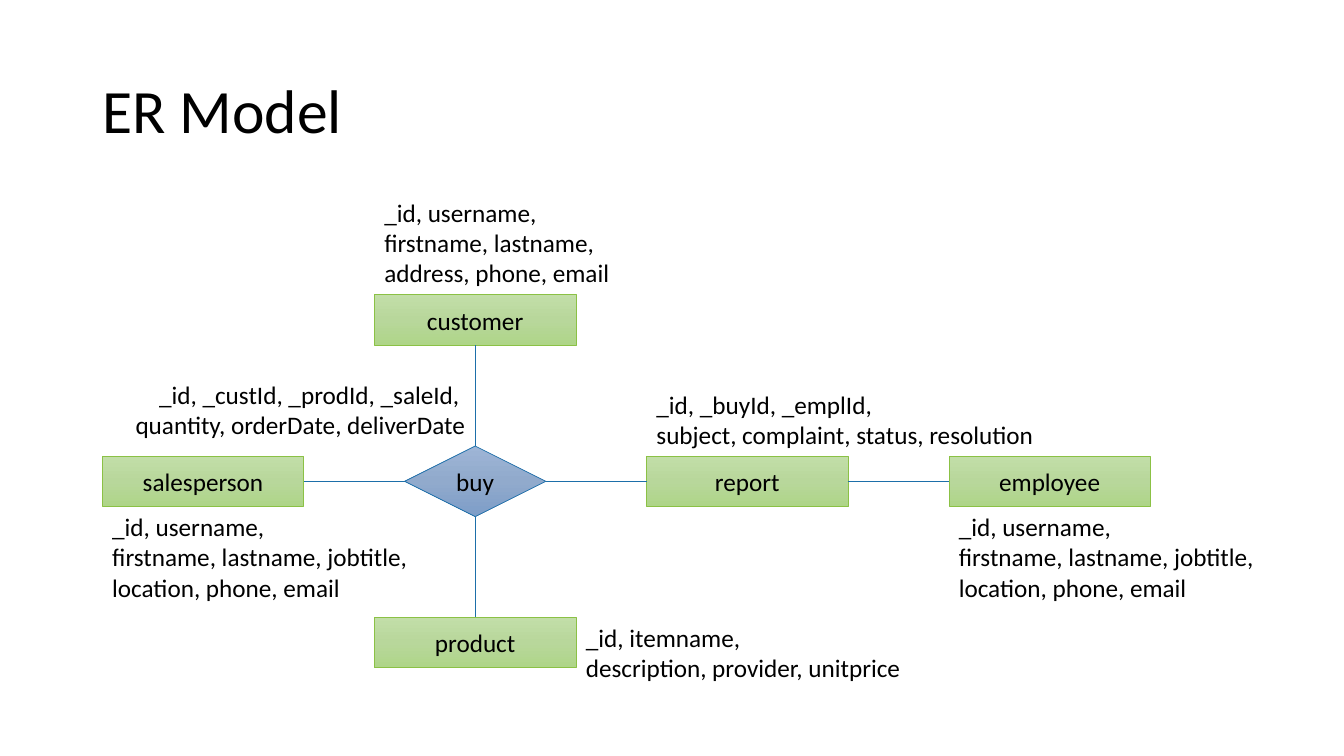
"""Build an entity-relationship slide for a sales database."""
import copy

import pptx
import pptx.dml.color
import pptx.enum.shapes
import pptx.enum.text
import pptx.oxml.ns
import pptx.util

PX = 4572
FONT = "Calibri"
COLOURS = {
    "text": "000000",
    "link": "1D6FA9",
    "entity_line": "8BC145",
    "entity_top": "C2DEA8",
    "entity_middle": "B8D79B",
    "entity_bottom": "AED588",
    "relation_line": "1D6FA9",
    "relation_top": "9EB5D6",
    "relation_middle": "91AACC",
    "relation_bottom": "7D9DC8",
}
TOP, LEFT, BOTTOM, RIGHT = range(4)
ALIGN = pptx.enum.text.PP_ALIGN
SHAPE = pptx.enum.shapes.MSO_SHAPE
AUTO_SIZE = pptx.enum.text.MSO_AUTO_SIZE
ENTITY_SIZE = (400, 100)
ENTITIES = {
    "customer": (743, 585),
    "salesperson": (203, 905),
    "product": (743, 1225),
    "employee": (1883, 905),
    "report": (1283, 905),
}
STAFF = ["_id, username,", "firstname, lastname, jobtitle,", "location, phone, email"]
ATTRIBUTES = [
    ((203, 1005, 640, 202), STAFF, ALIGN.LEFT),
    ((743, 381, 500, 202),
     ["_id, username,", "firstname, lastname,", "address, phone, email"], ALIGN.LEFT),
    ((1883, 1005, 640, 202), STAFF, ALIGN.LEFT),
    ((1143, 1225, 700, 142),
     ["_id, itemname,", "description, provider, unitprice"], ALIGN.LEFT),
    ((243, 743, 700, 142),
     ["_id, _custId, _prodId, _saleId, ", "quantity, orderDate, deliverDate"], ALIGN.RIGHT),
    ((1283, 763, 800, 142),
     ["_id, _buyId, _emplId,", "subject, complaint, status, resolution"], ALIGN.LEFT),
]
LINKS = [
    ("salesperson", RIGHT, "buy", LEFT),
    ("customer", BOTTOM, "buy", TOP),
    ("buy", RIGHT, "report", LEFT),
    ("buy", BOTTOM, "product", TOP),
    ("employee", LEFT, "report", RIGHT),
]


def colour(name):
    return pptx.dml.color.RGBColor.from_string(COLOURS[name])


def emu(lengths):
    return [length * PX for length in lengths]


def write_text(frame, lines, size=18, align=ALIGN.LEFT, spacing=None,
               anchor=pptx.enum.text.MSO_ANCHOR.TOP, auto_size=AUTO_SIZE.NONE):
    frame.word_wrap = True
    frame.auto_size = auto_size
    frame.vertical_anchor = anchor
    for index, line in enumerate(lines):
        paragraph = frame.add_paragraph() if index else frame.paragraphs[0]
        paragraph.alignment = align
        paragraph.line_spacing = spacing
        run = paragraph.add_run()
        run.text = line
        run.font.name = FONT
        run.font.size = pptx.util.Pt(size)
        run.font.color.rgb = colour("text")


def fill_gradient(shape, kind):
    shape.fill.gradient()
    shape.fill.gradient_angle = 270
    stop_list = shape._element.spPr.find(".//" + pptx.oxml.ns.qn("a:gsLst"))
    stop_list.insert(1, copy.deepcopy(stop_list[0]))
    parts = zip(shape.fill.gradient_stops, ("top", "middle", "bottom"), (0, 0.5, 1))
    for stop, part, position in parts:
        stop.color.rgb = colour(f"{kind}_{part}")
        stop.position = position


def add_node(slide, label, box, kind, preset):
    shape = slide.shapes.add_shape(preset, *emu(box))
    shape.shadow.inherit = False
    fill_gradient(shape, kind)
    shape.line.color.rgb = colour(f"{kind}_line")
    shape.line.width = pptx.util.Pt(0.5)
    write_text(shape.text_frame, [label], align=ALIGN.CENTER,
               anchor=pptx.enum.text.MSO_ANCHOR.MIDDLE)
    return shape


def add_link(slide, start, start_side, end, end_side):
    connector = slide.shapes.add_connector(
        pptx.enum.shapes.MSO_CONNECTOR.STRAIGHT, 0, 0, 0, 0)
    connector.begin_connect(start, start_side)
    connector.end_connect(end, end_side)
    connector.line.color.rgb = colour("link")
    connector.line.width = pptx.util.Pt(1)
    properties = connector._element.spPr
    properties.append(properties.makeelement(pptx.oxml.ns.qn("a:effectLst"), {}))


def add_attributes(slide, box, lines, align):
    text_box = slide.shapes.add_textbox(*emu(box))
    write_text(text_box.text_frame, lines, align=align,
               auto_size=AUTO_SIZE.SHAPE_TO_FIT_TEXT)


def add_title(slide, text, box):
    title = slide.shapes.title
    title.left, title.top, title.width, title.height = emu(box)
    write_text(title.text_frame, [text], size=44, spacing=0.9,
               anchor=pptx.enum.text.MSO_ANCHOR.MIDDLE)


def main():
    presentation = pptx.Presentation()
    presentation.slide_width, presentation.slide_height = emu((2667, 1500))
    slide = presentation.slides.add_slide(presentation.slide_layouts[5])
    add_title(slide, "ER Model", (183, 80, 2300, 290))
    nodes = {
        label: add_node(slide, label, corner + ENTITY_SIZE, "entity", SHAPE.RECTANGLE)
        for label, corner in ENTITIES.items()
    }
    nodes["buy"] = add_node(slide, "buy", (803, 885, 280, 140), "relation",
                            SHAPE.FLOWCHART_DECISION)
    for start, start_side, end, end_side in LINKS:
        add_link(slide, nodes[start], start_side, nodes[end], end_side)
    for box, lines, align in ATTRIBUTES:
        add_attributes(slide, box, lines, align)
    presentation.save("out.pptx")


if __name__ == "__main__":
    main()
